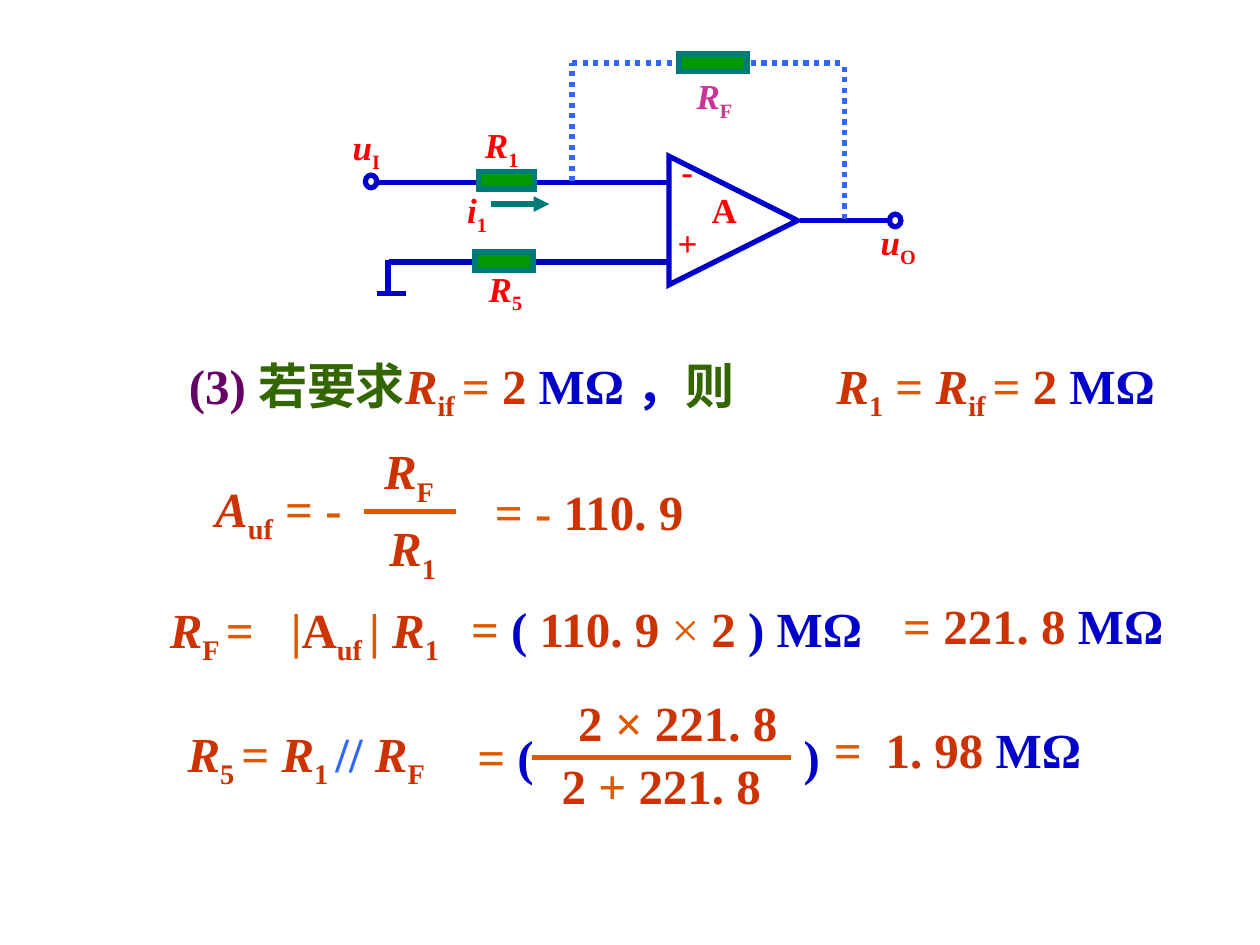
from lxml.etree import SubElement
from pptx import Presentation
from pptx.dml.color import RGBColor
from pptx.enum.dml import MSO_LINE
from pptx.enum.shapes import MSO_CONNECTOR, MSO_SHAPE
from pptx.enum.text import MSO_AUTO_SIZE
from pptx.oxml.ns import qn
from pptx.util import Inches, Pt

RED = RGBColor(0xFF, 0x00, 0x00)
RUST = RGBColor(0xCC, 0x33, 0x00)
ORANGE = RGBColor(0xDC, 0x59, 0x00)
BLUE = RGBColor(0x00, 0x00, 0xCC)
LIGHT_BLUE = RGBColor(0x33, 0x66, 0xFF)
PURPLE = RGBColor(0x66, 0x00, 0x66)
PINK = RGBColor(0xCC, 0x33, 0x99)
OLIVE = RGBColor(0x33, 0x66, 0x00)
GREEN = RGBColor(0x00, 0x99, 0x00)
TEAL = RGBColor(0x00, 0x7A, 0x77)

ITALIC = {"italic": True}
LIGHT = {"bold": False}


def variable(letter, subscript, color=RUST):
    return [(letter, color, ITALIC), (subscript, color, {"subscript": True})]


def add_text(slide, box, runs, size=28, tab=None):
    shape = slide.shapes.add_textbox(*map(Inches, box))
    frame = shape.text_frame
    frame.word_wrap = True
    frame.auto_size = MSO_AUTO_SIZE.SHAPE_TO_FIT_TEXT
    paragraph = frame.paragraphs[0]
    if tab:
        tabs = SubElement(paragraph._p.get_or_add_pPr(), qn("a:tabLst"))
        SubElement(tabs, qn("a:tab"), pos=str(Inches(tab)), algn="l")
    for text, color, *extra in runs:
        run = paragraph.add_run()
        run.text = text
        formats = {"name": "Times New Roman", "size": Pt(size), "bold": True}
        formats.update(*extra)
        if formats.pop("subscript", False):
            run._r.get_or_add_rPr().set("baseline", "-25000")
        for name, value in formats.items():
            setattr(run.font, name, value)
        run.font.color.rgb = color


def add_line(slide, start, end, color=BLUE, dash=None, arrow=False):
    connector = slide.shapes.add_connector(
        MSO_CONNECTOR.STRAIGHT, *map(Inches, start + end))
    connector.line.color.rgb = color
    for name, value in {"width": Pt(3), "dash_style": dash}.items():
        setattr(connector.line, name, value)
    if arrow:
        SubElement(connector.line._get_or_add_ln(), qn("a:tailEnd"), type="triangle")
    SubElement(connector._element.spPr, qn("a:effectLst"))


def add_outline(slide, kind, box, color=BLUE, fill=None, rotation=0):
    shape = slide.shapes.add_shape(kind, *map(Inches, box))
    shape.shadow.inherit = False
    shape.rotation = rotation
    if fill is None:
        shape.fill.background()
    else:
        shape.fill.solid()
        shape.fill.fore_color.rgb = fill
    shape.line.color.rgb = color
    shape.line.width = Pt(3)
    SubElement(shape.line._get_or_add_ln(), qn("a:miter"), lim="800000")


def add_circuit(slide):
    wires = [
        ((3.09, 2.08), (5.29, 2.08)),
        ((2.99, 1.45), (5.32, 1.45)),
        ((6.35, 1.75), (7.05, 1.75)),
        ((3.08, 2.06), (3.08, 2.33)),
        ((2.99, 2.33), (3.22, 2.33)),
    ]
    for start, end in wires:
        add_line(slide, start, end)
    feedback = [
        ((4.54, 1.44), (4.54, 0.5)),
        ((4.54, 0.5), (6.68, 0.5)),
        ((6.7, 1.74), (6.7, 0.52)),
    ]
    for start, end in feedback:
        add_line(slide, start, end, LIGHT_BLUE, MSO_LINE.ROUND_DOT)
    add_line(slide, (3.9, 1.62), (4.36, 1.62), TEAL, arrow=True)

    resistors = [(3.8, 1.36, 0.44, 0.14), (3.77, 2, 0.46, 0.15), (5.39, 0.43, 0.54, 0.14)]
    for box in resistors:
        add_outline(slide, MSO_SHAPE.RECTANGLE, box, TEAL, GREEN)
    for left, top in [(2.9, 1.39), (7.06, 1.7)]:
        add_outline(slide, MSO_SHAPE.OVAL, (left, top, 0.09, 0.1))
    add_outline(slide, MSO_SHAPE.ISOSCELES_TRIANGLE, (5.31, 1.24, 1.02, 1.02), rotation=90)

    labels = [
        ((3.78, 2.07, 0.63, 0.48), variable("R", "5", RED)),
        ((3.75, 0.93, 0.86, 0.48), variable("R", "1", RED)),
        ((2.7, 0.95, 0.59, 0.48), variable("u", "I", RED)),
        ((6.89, 1.7, 0.59, 0.48), variable("u", "O", RED)),
        ((3.61, 1.45, 0.45, 0.48), variable("i", "1", RED)),
        ((5.43, 0.54, 0.6, 0.48), variable("R", "F", PINK)),
        ((5.28, 1.71, 0.51, 0.44), [("+", RED)]),
        ((5.31, 1.14, 0.31, 0.44), [("-", RED)]),
        ((5.55, 1.45, 0.61, 0.44), [("A", RED)]),
    ]
    for box, runs in labels:
        add_text(slide, box, runs, size=20)


def add_requirement(slide):
    equals_two = [("= ", ORANGE), ("2", RUST)]
    add_text(slide, (1.4, 2.77, 8.19, 0.63), [
        ("(3) ", PURPLE), ("若要求", OLIVE),
        *variable("R", "if "), *equals_two, (" MΩ ，", BLUE), ("则\t", OLIVE),
        *variable("R", "1"), (" = ", ORANGE),
        *variable("R", "if "), *equals_two, (" MΩ", BLUE),
    ], tab=5.14)


def add_gain(slide):
    add_text(slide, (1.61, 3.75, 1.36, 0.63), [*variable("A", "uf"), (" = -", ORANGE)])
    add_text(slide, (2.95, 3.45, 0.73, 0.63), variable("R", "F"))
    add_line(slide, (2.89, 4.06), (3.62, 4.06), ORANGE)
    add_text(slide, (2.99, 4.06, 0.7, 0.63), variable("R", "1"))
    add_text(slide, (3.83, 3.77, 1.88, 0.57), [("= - ", ORANGE), ("110. 9", RUST)])


def add_feedback_resistance(slide):
    add_text(slide, (1.25, 4.71, 2.5, 0.63), [
        *variable("R", "F "), ("=\t|", ORANGE), ("A", RUST),
        ("uf ", RUST, {"subscript": True}), ("| ", ORANGE), *variable("R", "1"),
    ], tab=0.96)
    add_text(slide, (3.64, 4.7, 3.8, 0.57), [
        ("= ", ORANGE), ("( ", BLUE), ("110. 9 ", RUST), ("× ", ORANGE, LIGHT),
        ("2", RUST), (" ) MΩ", BLUE),
    ])
    add_text(slide, (7.07, 4.68, 2.35, 0.57),
             [("= ", ORANGE), ("221. 8", RUST), (" MΩ", BLUE)])


def add_balance_resistance(slide):
    add_text(slide, (1.39, 5.69, 2.2, 0.63), [
        *variable("R", "5 "), ("= ", ORANGE), *variable("R", "1 "),
        ("// ", LIGHT_BLUE), *variable("R", "F"),
    ])
    add_text(slide, (3.69, 5.72, 3.12, 0.57), [("= ", ORANGE), ("(\t)", BLUE)], tab=2.59)
    add_line(slide, (4.22, 6.01), (6.28, 6.01), ORANGE)
    for left, top, operator in [(4.49, 5.45, "× "), (4.36, 5.95, "+ ")]:
        add_text(slide, (left, top, 1.9, 0.57),
                 [("2 ", RUST), (operator, ORANGE), ("221. 8", RUST)])
    add_text(slide, (6.52, 5.66, 2.38, 0.57),
             [("=\t", ORANGE), ("1. 98 ", RUST), ("MΩ", BLUE)], tab=0.41)


def main():
    presentation = Presentation()
    presentation.slide_width = Inches(10)
    presentation.slide_height = Inches(7.5)
    slide = presentation.slides.add_slide(presentation.slide_layouts[6])
    add_circuit(slide)
    add_requirement(slide)
    add_gain(slide)
    add_feedback_resistance(slide)
    add_balance_resistance(slide)
    presentation.save("out.pptx")


if __name__ == "__main__":
    main()
